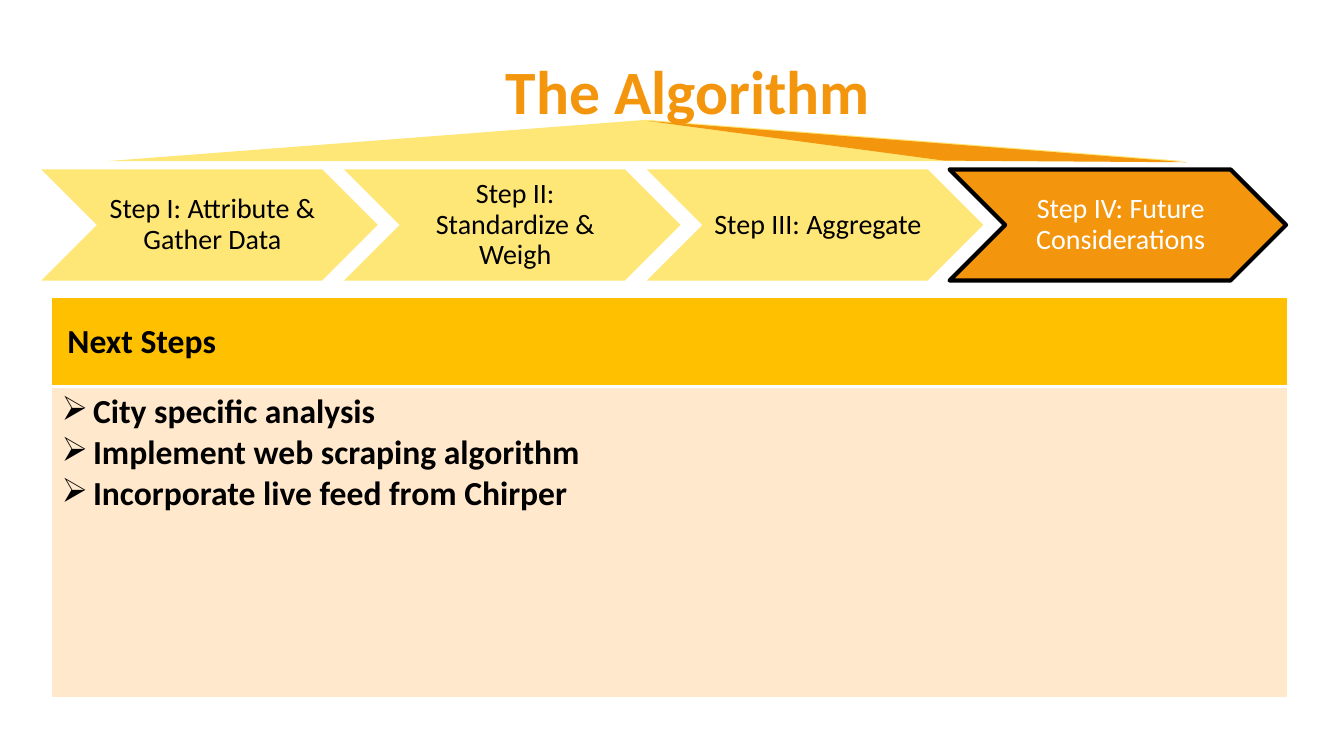
import pptx
import pptx.dml.color
import pptx.enum.shapes
import pptx.enum.text
import pptx.oxml
import pptx.oxml.ns
import pptx.util
from pptx.dml.color import RGBColor
from pptx.util import Cm

FONT = "Calibri"
BLACK = RGBColor(0x00, 0x00, 0x00)
WHITE = RGBColor(0xFF, 0xFF, 0xFF)
ORANGE = RGBColor(0xF3, 0x96, 0x0D)
YELLOW = RGBColor(0xFF, 0xE7, 0x77)
GOLD = RGBColor(0xFF, 0xC0, 0x00)
PEACH = RGBColor(0xFF, 0xE8, 0xCC)

STEPS = [
    "Step I: Attribute & Gather Data",
    "Step II: Standardize & Weigh",
    "Step III: Aggregate",
    "Step IV: Future Considerations",
]
CURRENT_STEP = 3
NEXT_STEPS = [
    "City specific analysis",
    "Implement web scraping algorithm",
    "Incorporate live feed from Chirper",
]


def write(paragraph, wording, size, color, bold=False):
    run = paragraph.add_run()
    run.text = wording
    run.font.name = FONT
    run.font.size = pptx.util.Pt(size)
    run.font.bold = bold
    run.font.color.rgb = color


def paint(shape, color):
    """Give the shape a flat fill with no outline or shadow."""
    shape.shadow.inherit = False
    shape.fill.solid()
    shape.fill.fore_color.rgb = color
    shape.line.fill.background()


def centre(frame):
    """Centre the frame's text both ways and return its first paragraph."""
    frame.word_wrap = True
    frame.vertical_anchor = pptx.enum.text.MSO_ANCHOR.MIDDLE
    paragraph = frame.paragraphs[0]
    paragraph.alignment = pptx.enum.text.PP_ALIGN.CENTER
    paragraph.line_spacing = 0.9
    return paragraph


def add_title(slide, left, top, width, height):
    title = slide.shapes.add_textbox(left, top, width, height)
    write(centre(title.text_frame), "The Algorithm", 44, ORANGE, bold=True)


def add_roof(slide, left, top, width, height):
    roof = slide.shapes.add_shape(
        pptx.enum.shapes.MSO_SHAPE.ISOSCELES_TRIANGLE, left, top, width, height)
    paint(roof, YELLOW)


def add_roof_highlight(slide, left, top, width, height):
    """Draw the orange wedge that leads from the title to the current step."""
    outline = slide.shapes.build_freeform(left, top)
    outline.add_line_segments([
        (left + width, top + height),
        (left + int(width * 0.55), top + int(height * 0.96)),
    ], close=True)
    paint(outline.convert_to_shape(), ORANGE)


def add_steps(slide, left, top, width, height):
    """Spread the chevrons over the box, each nested into the one before."""
    step_width = Cm(8.48)
    pitch = (width - step_width) // (len(STEPS) - 1)
    for index, wording in enumerate(STEPS):
        is_current = index == CURRENT_STEP
        step = slide.shapes.add_shape(
            pptx.enum.shapes.MSO_SHAPE.CHEVRON,
            left + index * pitch, top, step_width, height)
        paint(step, ORANGE if is_current else YELLOW)
        if is_current:
            step.line.color.rgb = BLACK
            step.line.width = pptx.util.Pt(3)
        frame = step.text_frame
        frame.margin_left = Cm(0.23)
        frame.margin_right = frame.margin_top = frame.margin_bottom = Cm(0.08)
        write(centre(frame), wording, 20, WHITE if is_current else BLACK)


def style_cell(cell, color, bottom_points):
    """Fill the cell and give it white borders."""
    properties = cell._tc.get_or_add_tcPr()
    for side, points in (("L", 1), ("R", 1), ("T", 1), ("B", bottom_points)):
        properties.append(pptx.oxml.parse_xml(
            f'<a:ln{side} {pptx.oxml.ns.nsdecls("a")} w="{pptx.util.Pt(points)}">'
            f'<a:solidFill><a:srgbClr val="{WHITE}"/></a:solidFill></a:ln{side}>'))
    cell.fill.solid()
    cell.fill.fore_color.rgb = color


def add_bullet(paragraph):
    properties = paragraph._p.get_or_add_pPr()
    properties.set("marL", str(Cm(0.79)))
    properties.set("indent", str(-Cm(0.79)))
    properties.append(pptx.oxml.parse_xml(
        f'<a:buChar {pptx.oxml.ns.nsdecls("a")} char="➢"/>'))


def add_next_steps(slide, left, top, width, height):
    table = slide.shapes.add_table(2, 1, left, top, width, height).table
    table.horz_banding = False
    header_height = Cm(2.24)
    table.rows[0].height = header_height
    table.rows[1].height = height - header_height

    header = table.cell(0, 0)
    style_cell(header, GOLD, bottom_points=3)
    header.margin_left = Cm(0.4)
    header.vertical_anchor = pptx.enum.text.MSO_ANCHOR.MIDDLE
    write(header.text_frame.paragraphs[0], "Next Steps", 24, BLACK, bold=True)

    body = table.cell(1, 0)
    style_cell(body, PEACH, bottom_points=1)
    for index, wording in enumerate(NEXT_STEPS):
        frame = body.text_frame
        paragraph = frame.add_paragraph() if index else frame.paragraphs[0]
        add_bullet(paragraph)
        write(paragraph, wording, 24, BLACK, bold=True)


def main():
    deck = pptx.Presentation()
    deck.slide_width = Cm(33.87)
    deck.slide_height = Cm(19.05)
    slide = deck.slides.add_slide(deck.slide_layouts[6])
    add_steps(slide, Cm(1.04), Cm(4.27), Cm(31.37), Cm(2.8))
    add_roof(slide, Cm(2.72), Cm(3.02), Cm(27.15), Cm(1.04))
    add_title(slide, Cm(2.74), Cm(1.45), Cm(29.21), Cm(1.88))
    add_roof_highlight(slide, Cm(16.33), Cm(3.05), Cm(13.57), Cm(1.04))
    add_next_steps(slide, Cm(1.3), Cm(7.5), Cm(31.14), Cm(10.08))
    deck.save("out.pptx")


if __name__ == "__main__":
    main()
